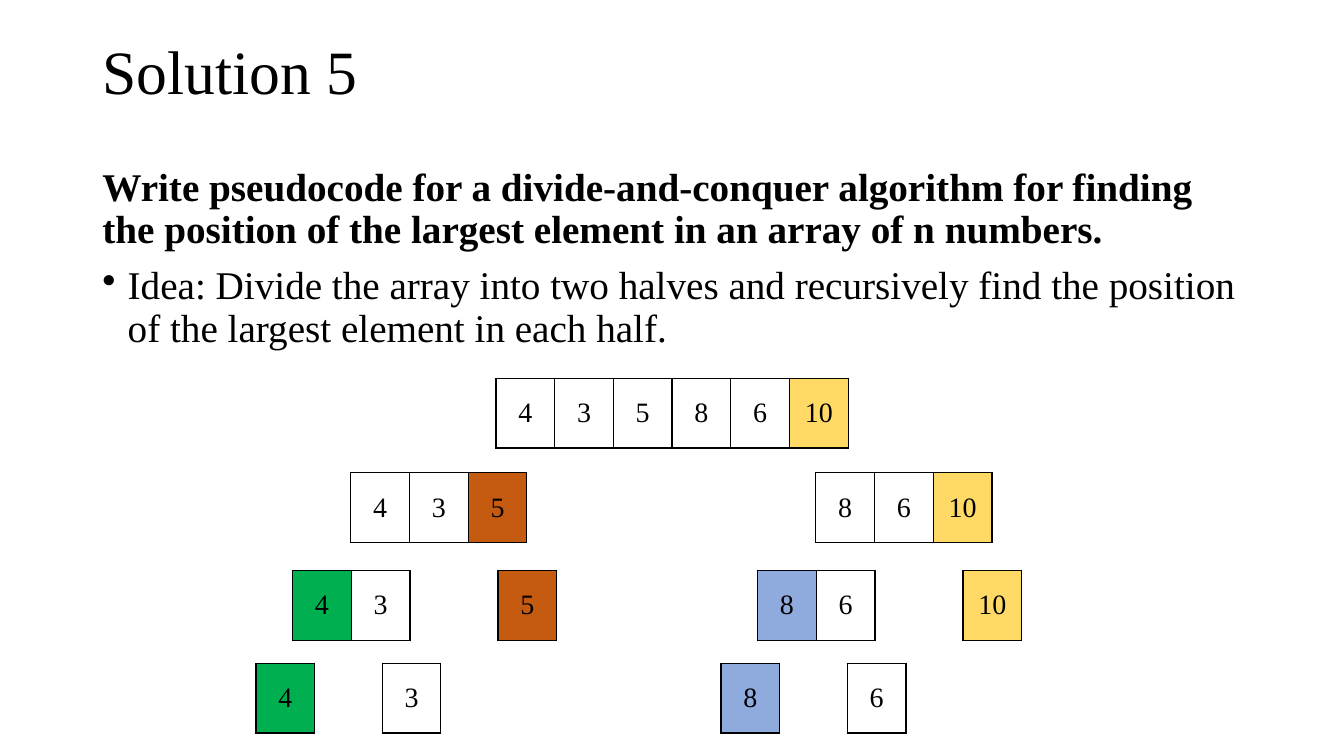
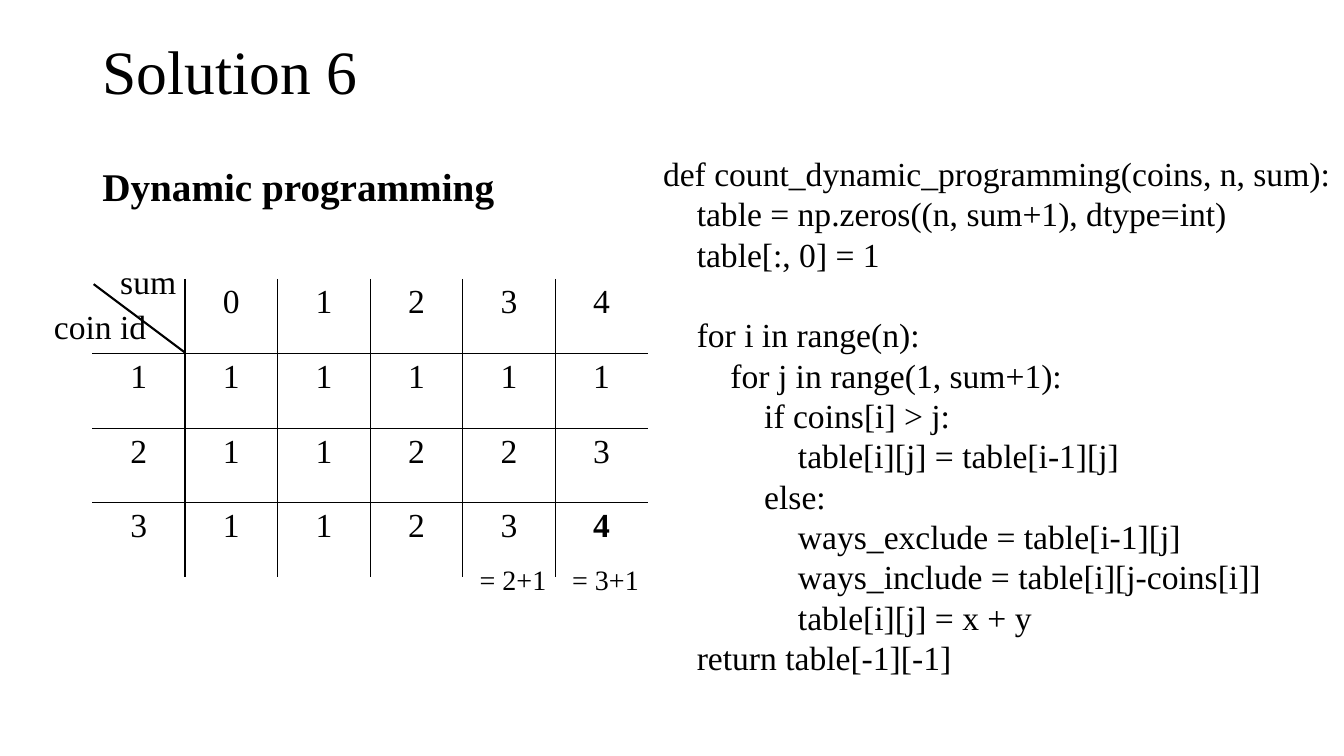
"""Build two slides on divide-and-conquer search and dynamic programming."""
from dataclasses import dataclass

from lxml.etree import SubElement
from pptx import Presentation
from pptx.dml.color import RGBColor as Color
from pptx.enum.shapes import MSO_CONNECTOR as Connector
from pptx.enum.text import MSO_ANCHOR as Anchor, PP_ALIGN as Align
from pptx.oxml.ns import qn
from pptx.util import Cm, Pt


@dataclass(frozen=True)
class Theme:
    """Hold the colours, font and type sizes of the deck."""
    font: str = "Times New Roman"
    ink: str = "000000"
    gold: str = "FFD966"
    rust: str = "C55A11"
    green: str = "00B050"
    blue: str = "8FAADC"
    title: int = 44
    body: int = 28
    code: int = 24
    small: int = 20
    grid_line: float = 1
    slash_line: float = 1.5


THEME = Theme()
BODY = {"size": THEME.body, "spacing": 0.9, "before": 10}
WINNERS = {4: THEME.green, 5: THEME.rust, 8: THEME.blue, 10: THEME.gold}

CELL_WIDTH, CELL_HEIGHT = 1.48, 1.76
RIGHT_HALF_SHIFT = 11.72
ROOT = (12.5, 9.53, [4, 3, 5, 8, 6, 10])
BRANCHES = [
    (8.84, 11.91, [4, 3, 5], [8, 6, 10]),
    (7.37, 14.37, [4, 3], [8, 6]),
    (12.55, 14.37, [5], [10]),
    (6.45, 16.71, [4], [8]),
    (9.63, 16.71, [3], [6]),
]

WAYS = [
    ["", 0, 1, 2, 3, 4],
    [1, 1, 1, 1, 1, 1],
    [2, 1, 1, 2, 2, 3],
    [3, 1, 1, 2, 3, 4],
]

LEVEL_INDENT = 0.85
CODE_GAP = 28.8
CODE = [
    (0, 0, "def count_dynamic_programming(coins, n, sum):"),
    (1, 0, "table = np.zeros((n, sum+1), dtype=int)"),
    (1, 0, "table[:, 0] = 1"),
    (1, CODE_GAP, "for i in range(n):"),
    (2, 0, "for j in range(1, sum+1):"),
    (3, 0, "if coins[i] > j:"),
    (4, 0, "table[i][j] = table[i-1][j]"),
    (3, 0, "else:"),
    (4, 0, "ways_exclude = table[i-1][j]"),
    (4, 0, "ways_include = table[i][j-coins[i]]"),
    (4, 0, "table[i][j] = x + y"),
    (1, 0, "return table[-1][-1]"),
]


def format_para(para, text, size, bold=False, align=Align.LEFT, spacing=1.0,
                before=0, indent=0, bullet=None):
    """Fill a paragraph with one span of formatted text."""
    para.alignment = align
    para.line_spacing = spacing
    para.space_before = Pt(before)
    props = para._p.get_or_add_pPr()
    props.set("marL", str(Cm(indent)))
    props.set("indent", str(-Cm(indent) if bullet else 0))
    if bullet:
        SubElement(props, qn("a:buChar"), char=bullet)
    span = para.add_run()
    span.text = text
    span.font.name = THEME.font
    span.font.size = Pt(size)
    span.font.bold = bold
    span.font.color.rgb = Color.from_string(THEME.ink)


def add_text(page, area, paras, anchor=Anchor.TOP, wrap=True):
    """Add a text box holding (text, format) paragraphs."""
    frame = page.shapes.add_textbox(*map(Cm, area)).text_frame
    frame.word_wrap = wrap
    frame.vertical_anchor = anchor
    for index, (text, style) in enumerate(paras):
        para = frame.add_paragraph() if index else frame.paragraphs[0]
        format_para(para, text, **style)


def set_borders(cell, sides):
    """Draw the named sides (L, R, T, B) of a cell and clear the others."""
    props = cell._tc.get_or_add_tcPr()
    for side in "LRTB":
        line = SubElement(props, qn(f"a:ln{side}"), w=str(Pt(THEME.grid_line)))
        if side in sides:
            fill = SubElement(line, qn("a:solidFill"))
            SubElement(fill, qn("a:srgbClr"), val=THEME.ink)
        else:
            SubElement(line, qn("a:noFill"))


def add_grid(page, area, rows, size, anchor=Anchor.TOP, sides_at=None,
             fill_at=None, bold_at=None):
    """Add a table of centred values, formatted by cell position."""
    table = page.shapes.add_table(len(rows), len(rows[0]), *map(Cm, area)).table
    table.first_row = table.horz_banding = False
    for r, values in enumerate(rows):
        for c, value in enumerate(values):
            cell = table.cell(r, c)
            cell.vertical_anchor = anchor
            set_borders(cell, sides_at(r, c) if sides_at else "LRTB")
            colour = fill_at(r, c) if fill_at else None
            if colour:
                cell.fill.solid()
                cell.fill.fore_color.rgb = Color.from_string(colour)
            else:
                cell.fill.background()
            format_para(cell.text_frame.paragraphs[0], str(value), size,
                        bold=(r, c) == bold_at, align=Align.CENTER)


def add_array(page, left, top, values):
    """Add a one-row array whose largest element is highlighted."""
    def winner_fill(_, c):
        return WINNERS.get(values[c]) if values[c] == max(values) else None

    area = (left, top, CELL_WIDTH * len(values), CELL_HEIGHT)
    add_grid(page, area, [values], THEME.small, Anchor.MIDDLE, fill_at=winner_fill)


def add_line(page, start, end):
    """Add a plain straight line."""
    line = page.shapes.add_connector(Connector.STRAIGHT, *map(Cm, start + end))
    line.line.color.rgb = Color.from_string(THEME.ink)
    line.line.width = Pt(THEME.slash_line)
    SubElement(line._element.spPr, qn("a:effectLst"))


def add_page(deck, title, paras):
    """Add a blank-layout page with its title and body text."""
    page = deck.slides.add_slide(deck.slide_layouts[6])
    add_text(page, (2.33, 0.05, 29.21, 3.68),
             [(title, {"size": THEME.title, "spacing": 0.9})], Anchor.MIDDLE)
    add_text(page, (2.33, 4.09, 29.21, 13.06), paras)
    return page


def build_divide_page(deck):
    """Show an array being split into halves."""
    page = add_page(deck, "Solution 5", [
        ("Write pseudocode for a divide-and-conquer algorithm for finding the "
         "position of the largest element in an array of n numbers.",
         {**BODY, "bold": True}),
        ("Idea: Divide the array into two halves and recursively find the "
         "position of the largest element in each half.",
         {**BODY, "indent": 0.64, "bullet": "•"}),
    ])
    add_array(page, *ROOT)
    for left, top, left_values, right_values in BRANCHES:
        add_array(page, left, top, left_values)
        add_array(page, left + RIGHT_HALF_SHIFT, top, right_values)


def build_dynamic_page(deck):
    """Show the table of ways beside the code that fills it."""
    last_row, last_col = len(WAYS) - 1, len(WAYS[0]) - 1

    def inner_sides(r, c):
        return (("L" if c else "") + ("R" if c < last_col else "")
                + ("T" if r else "") + ("B" if r < last_row else ""))

    page = add_page(deck, "Solution 6",
                    [("Dynamic programming", {**BODY, "bold": True})])
    add_grid(page, (2.33, 7.03, 14, 7.52), WAYS, THEME.code,
             sides_at=inner_sides, bold_at=(last_row, last_col))
    label = {"size": THEME.code, "align": Align.CENTER}
    add_text(page, (1.09, 7.59, 2.87, 1.27), [("coin id", label)], wrap=False)
    add_text(page, (2.77, 6.45, 1.93, 1.27), [("sum", label)], wrap=False)
    add_line(page, (4.67, 8.89), (2.36, 7.16))
    for left, text in [(11.84, "= 2+1"), (14.17, "= 3+1")]:
        add_text(page, (left, 14.05, 2.21, 1.12),
                 [(text, {"size": THEME.small})], wrap=False)
    add_text(page, (16.46, 3.73, 17.4, 13.59), [
        (text, {"size": THEME.code, "indent": level * LEVEL_INDENT, "before": gap})
        for level, gap, text in CODE])


def main():
    """Build and save the deck."""
    deck = Presentation()
    deck.slide_width, deck.slide_height = Cm(33.87), Cm(19.05)
    build_divide_page(deck)
    build_dynamic_page(deck)
    deck.save("out.pptx")


if __name__ == "__main__":
    main()
